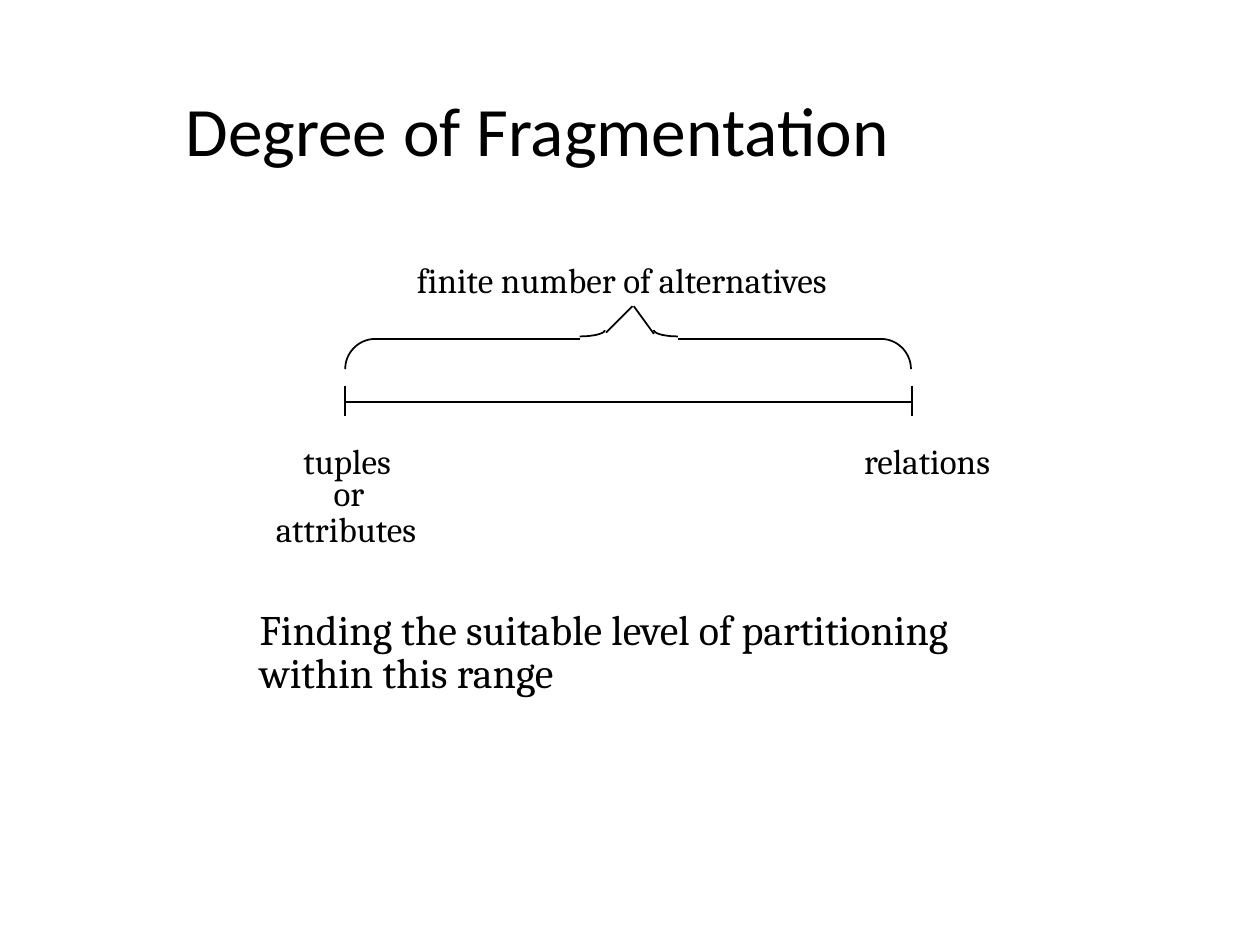
from math import cos, pi, sin

from lxml import etree
from pptx import Presentation
from pptx.dml.color import RGBColor
from pptx.enum.shapes import MSO_CONNECTOR as CONN
from pptx.enum.text import MSO_ANCHOR as ANCHOR, MSO_AUTO_SIZE as AUTO, PP_ALIGN as ALIGN
from pptx.oxml.ns import qn
from pptx.util import Inches, Pt

COLORS = {"ink": "000000", "paper": "FFFFFF"}


def color(name):
    return RGBColor.from_string(COLORS[name])


def add_text(s, box, text, size, font="Cambria", wrap=False, insets=(0.1, 0.05)):
    tf = s.shapes.add_textbox(*map(Inches, box)).text_frame
    tf.word_wrap = wrap
    tf.auto_size = AUTO.SHAPE_TO_FIT_TEXT
    tf.margin_left = tf.margin_right = Inches(insets[0])
    tf.margin_top = tf.margin_bottom = Inches(insets[1])
    p = tf.paragraphs[0]
    r = p.add_run()
    r.text = text
    r.font.name = font
    r.font.size = Pt(size)
    r.font.color.rgb = color("ink")
    return tf, p


def style_line(sp):
    sp.line.color.rgb = color("ink")
    sp.line.width = Pt(1)


def add_line(s, x1, y1, x2, y2):
    sp = s.shapes.add_connector(CONN.STRAIGHT, *map(Inches, (x1, y1, x2, y2)))
    style_line(sp)
    etree.SubElement(sp._element.spPr, qn("a:effectLst"))


def add_quarter_arc(s, cx, cy, rx, ry, quadrant, steps=24):
    angles = [(quadrant + i / steps) * pi / 2 for i in range(steps + 1)]
    points = [(Inches(cx + rx * cos(a)), Inches(cy + ry * sin(a))) for a in angles]
    fb = s.shapes.build_freeform(*points[0])
    fb.add_line_segments(points[1:], close=False)
    sp = fb.convert_to_shape()
    sp.shadow.inherit = False
    sp.fill.background()
    style_line(sp)


def add_title(s, box):
    tf, p = add_text(s, box, "Degree of Fragmentation", 39.6, "Calibri", True)
    tf.auto_size = AUTO.NONE
    tf.vertical_anchor = ANCHOR.MIDDLE
    p.alignment = ALIGN.CENTER


def add_brace(s, box):
    x, y, w, h = box
    right, bottom = x + w, y + h
    corner = 0.24
    bar = bottom - corner
    shoulder = y + 0.19
    tip = x + 2.28
    left_end, right_end = tip - 0.42, tip + 0.36

    add_quarter_arc(s, x + corner, bottom, corner, corner, 2)
    add_quarter_arc(s, right - corner, bottom, corner, corner, 3)
    add_line(s, x + corner, bar, left_end, bar)
    add_line(s, right - corner, bar, right_end, bar)
    add_quarter_arc(s, left_end, shoulder, 0.2, 0.05, 0)
    add_quarter_arc(s, right_end, shoulder, 0.19, 0.05, 1)
    add_line(s, tip - 0.21, y + 0.21, tip, y)
    add_line(s, tip + 0.17, y + 0.22, tip + 0.01, y)


def add_scale(s, box):
    x, y, w, h = box
    add_line(s, x, y + 0.13, x + w, y + 0.13)
    for end in (x, x + w):
        add_line(s, end, y, end, y + h)


def add_labels(s, box):
    x, y, w, h = box
    labels = [
        ("finite number of alternatives", 1.12, 0, 3.89),
        ("tuples", 0.22, 1.44, 0.99),
        ("or", 0.46, 1.69, 0.46),
        ("attributes", 0, 1.98, 1.48),
        ("relations", w - 1.33, 1.44, 1.33),
    ]
    for text, dx, dy, width in labels:
        add_text(s, (x + dx, y + dy, width, 0.43), text, 20)


def add_conclusion(s, box):
    text = "Finding the suitable level of partitioning within this range"
    _, p = add_text(s, box, text, 24, wrap=True, insets=(0.07, 0.03))
    p.line_spacing = 0.85


def main():
    prs = Presentation()
    prs.slide_width, prs.slide_height = Inches(10), Inches(7.5)
    s = prs.slides.add_slide(prs.slide_layouts[6])
    s.background.fill.solid()
    s.background.fill.fore_color.rgb = color("paper")
    add_title(s, (0.19, 0.75, 8.15, 0.55))
    add_conclusion(s, (1.99, 4.82, 6.51, 1.14))
    add_scale(s, (2.74, 3.06, 4.5, 0.24))
    add_brace(s, (2.74, 2.43, 4.49, 0.5))
    add_labels(s, (2.09, 2, 6, 2.41))
    prs.save("out.pptx")


if __name__ == "__main__":
    main()
